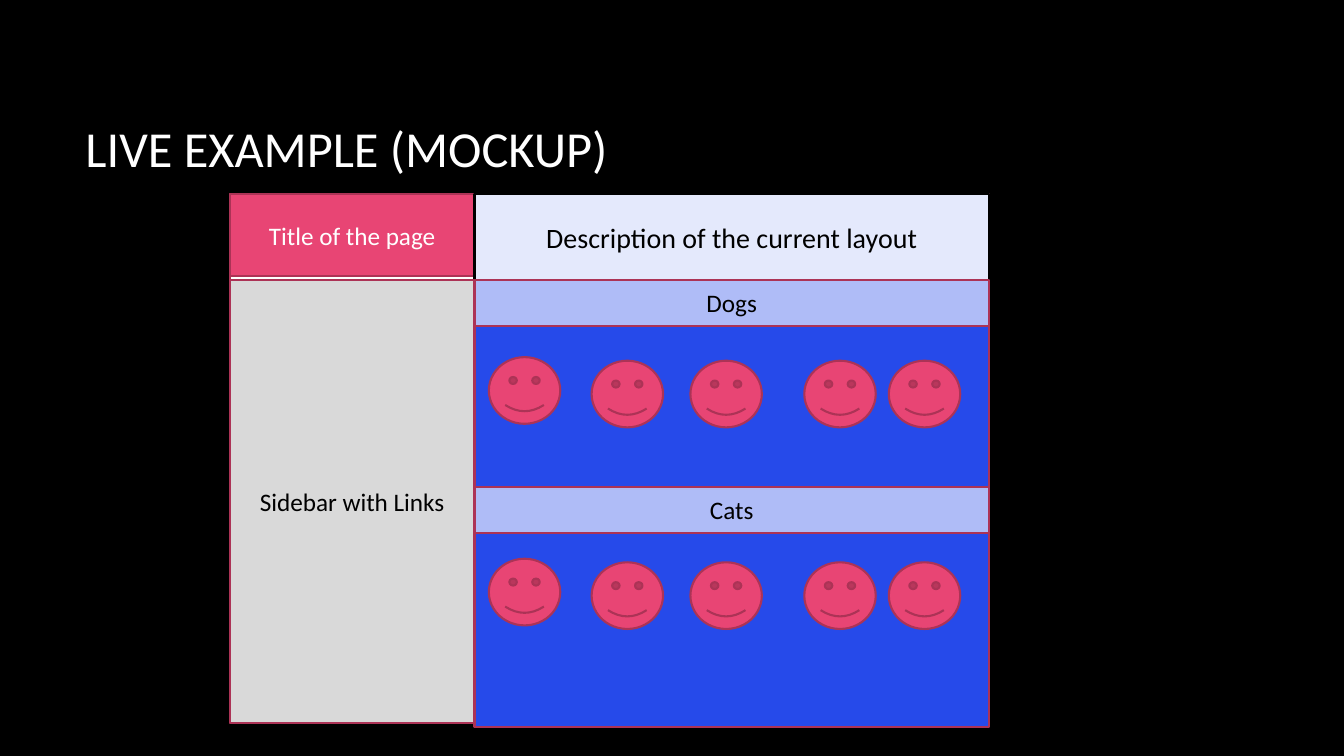
"""Build a slide showing the mockup of a web page with two galleries."""
from dataclasses import dataclass

from pptx import Presentation
from pptx import util as u
from pptx.dml import color
from pptx.enum import shapes, text


@dataclass(frozen=True)
class Theme:
    """Colours, font and type sizes of the slide."""
    black: str = "000000"
    white: str = "FFFFFF"
    pink: str = "E84574"
    border: str = "AC3356"
    pale: str = "E4E9FC"
    caption: str = "AFBCF7"
    panel: str = "264AEA"
    grey: str = "D9D9D9"
    font: str = "Calibri"
    title_size: int = 36
    lead_size: int = 20
    label_size: int = 18
    line_width: float = 1.5


@dataclass(frozen=True)
class Box:
    """A rectangle measured in centimetres."""
    left: float
    top: float
    width: float
    height: float

    def inner(self, left, top, width, height):
        """Return a box placed relative to this one."""
        return Box(self.left + left, self.top + top, width, height)

    def lengths(self):
        """Return the position and size as slide lengths."""
        return [u.Cm(value) for value in (self.left, self.top, self.width, self.height)]


THEME = Theme()
FACE_LEFTS = (0.36, 2.95, 5.44, 8.31, 10.44)
FACE_WIDTH, FACE_HEIGHT = 1.8, 1.68
FIRST_FACE_RAISE = 0.09
CAPTION_HEIGHT = 1.16


def rgb(value):
    """Return a colour from its hexadecimal text."""
    return color.RGBColor.from_string(value)


def format_paragraph(para, size, colour, alignment):
    """Set the font and alignment of a paragraph."""
    para.alignment = alignment
    para.font.name = THEME.font
    para.font.size = u.Pt(size)
    para.font.color.rgb = rgb(colour)


def add_block(slide, box, fill, label="", ink=THEME.black, size=THEME.label_size,
              line=THEME.border, kind=shapes.MSO_SHAPE.RECTANGLE):
    """Add an outlined shape with an optional centred label."""
    block = slide.shapes.add_shape(kind, *box.lengths())
    block.shadow.inherit = False
    block.fill.solid()
    block.fill.fore_color.rgb = rgb(fill)
    block.line.color.rgb = rgb(line)
    block.line.width = u.Pt(THEME.line_width)
    if label:
        frame = block.text_frame
        frame.text = label
        frame.word_wrap = True
        frame.vertical_anchor = text.MSO_ANCHOR.MIDDLE
        format_paragraph(frame.paragraphs[0], size, ink, text.PP_ALIGN.CENTER)


def add_title(slide, box, wording):
    """Place and format the title placeholder."""
    title = slide.shapes.title
    title.left, title.top, title.width, title.height = box.lengths()
    frame = title.text_frame
    frame.text = wording
    frame.vertical_anchor = text.MSO_ANCHOR.MIDDLE
    format_paragraph(frame.paragraphs[0], THEME.title_size, THEME.white, text.PP_ALIGN.LEFT)


def add_gallery(slide, box, caption, face_top):
    """Add a caption above a panel holding a row of faces."""
    add_block(slide, box.inner(0, 0, box.width, CAPTION_HEIGHT), THEME.caption, caption)
    panel_height = box.height - CAPTION_HEIGHT
    add_block(slide, box.inner(0, CAPTION_HEIGHT, box.width, panel_height), THEME.panel)
    for index, left in enumerate(FACE_LEFTS):
        top = face_top - (FIRST_FACE_RAISE if index == 0 else 0)
        add_block(slide, box.inner(left, top, FACE_WIDTH, FACE_HEIGHT), THEME.pink,
                  kind=shapes.MSO_SHAPE.SMILEY_FACE)


def add_mockup(slide, box):
    """Add the web page with its header, sidebar and galleries."""
    sidebar_width, header_height = 6.17, 2.15
    main_width = box.width - sidebar_width
    add_block(slide, box, THEME.white)
    add_block(slide, box.inner(0, 0, sidebar_width, 2.06), THEME.pink,
              "Title of the page", THEME.white)
    add_block(slide, box.inner(sidebar_width, 0, main_width, header_height), THEME.pale,
              "Description of the current layout", size=THEME.lead_size, line=THEME.black)
    add_block(slide, box.inner(0, header_height, sidebar_width, box.height - header_height),
              THEME.grey, "Sidebar with Links")
    add_gallery(slide, box.inner(sidebar_width, header_height, main_width, 5.26), "Dogs", 2.04)
    add_gallery(slide, box.inner(sidebar_width, 7.37, main_width, 6.04), "Cats", 1.9)


def main():
    """Build and save the deck."""
    deck = Presentation()
    deck.slide_width, deck.slide_height = u.Cm(33.87), u.Cm(19.05)
    slide = deck.slides.add_slide(deck.slide_layouts[5])
    slide.background.fill.solid()
    slide.background.fill.fore_color.rgb = rgb(THEME.black)
    add_title(slide, Box(1.9, 1.7, 28.14, 4.04), "LIVE EXAMPLE (MOCKUP)")
    add_mockup(slide, Box(5.79, 4.9, 19.13, 13.31))
    deck.save("out.pptx")


if __name__ == "__main__":
    main()
